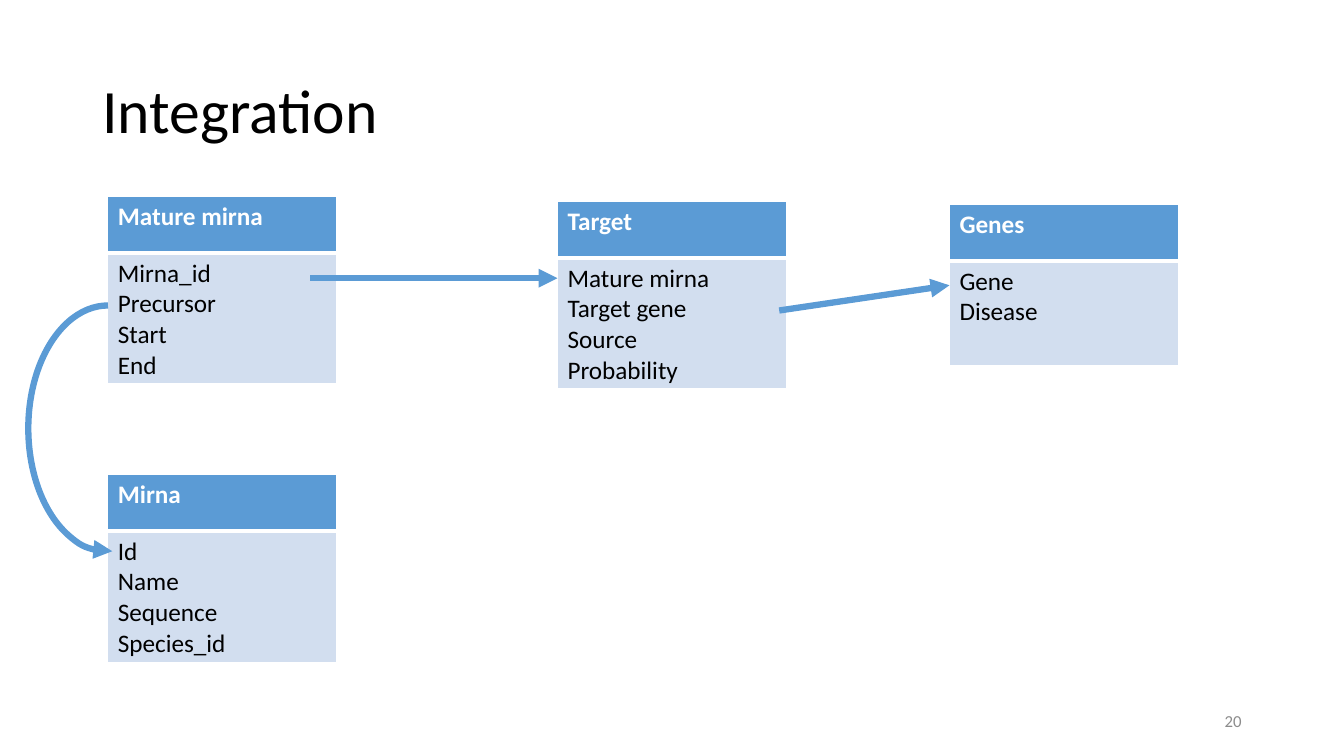
from dataclasses import dataclass

from lxml.etree import SubElement
from pptx import Presentation
from pptx.dml.color import RGBColor as RGB
from pptx.enum.shapes import MSO_CONNECTOR as Connector, MSO_SHAPE as Preset
from pptx.enum.text import MSO_ANCHOR as Anchor, PP_ALIGN as Align
from pptx.oxml.ns import qn
from pptx.slide import Slide
from pptx.table import _Cell as Cell
from pptx.text.text import _Paragraph as Paragraph
from pptx.util import Pt


@dataclass(frozen=True)
class Theme:
    font: str = "Calibri"
    accent: RGB = RGB(0x5B, 0x9B, 0xD5)
    body_fill: RGB = RGB(0xD2, 0xDE, 0xEF)
    ink: RGB = RGB(0, 0, 0)
    white: RGB = RGB(255, 255, 255)
    muted: RGB = RGB(0x8C, 0x8C, 0x8C)
    title_size: float = 44
    table_size: float = 18
    number_size: float = 12
    arrow_width: float = 4.5
    border: float = 1
    header_rule: float = 3


@dataclass(frozen=True)
class Entity:
    name: str
    fields: tuple[str, ...]
    left: float
    top: float


@dataclass(frozen=True)
class Link:
    start: tuple[float, float]
    end: tuple[float, float]


THEME = Theme()
ENTITY_WIDTH = 163.4
HEADER_HEIGHT = 40.3
MIN_BODY_HEIGHT = 75
LINE_HEIGHT = 21.6
CELL_PADDING = 7.2

ENTITIES = (
    Entity("Target", ("Mature mirna", "Target gene", "Source", "Probability"), 398.2, 144),
    Entity("Genes", ("Gene", "Disease"), 678.2, 146.2),
    Entity("Mature mirna", ("Mirna_id", "Precursor", "Start", "End"), 77, 140.4),
    Entity("Mirna", ("Id", "Name", "Sequence", "Species_id"), 77, 339.1),
)
LINKS = (
    Link((221.8, 198.7), (398.2, 198.7)),
    Link((556.6, 221.8), (678.2, 203.8)),
)


def add_run(paragraph: Paragraph, text: str, size: float, color: RGB, bold: bool = False) -> None:
    run = paragraph.add_run()
    run.text = text
    run.font.name = THEME.font
    run.font.size = Pt(size)
    run.font.bold = bold
    run.font.color.rgb = color


def add_label(slide: Slide, text: str, box: tuple[float, float, float, float],
              size: float, color: RGB, align: Align, spacing: float = 1) -> None:
    frame = slide.shapes.add_textbox(*map(Pt, box)).text_frame
    frame.word_wrap = True
    frame.vertical_anchor = Anchor.MIDDLE
    paragraph = frame.paragraphs[0]
    paragraph.alignment = align
    paragraph.line_spacing = spacing
    add_run(paragraph, text, size, color)


def set_borders(cell: Cell, top: float, bottom: float) -> None:
    """Draw white cell edges; the sides take the thin border width."""
    properties = cell._tc.get_or_add_tcPr()
    edges = {"L": THEME.border, "R": THEME.border, "T": top, "B": bottom}
    for side, width in edges.items():
        edge = SubElement(properties, qn(f"a:ln{side}"), w=str(Pt(width)))
        fill = SubElement(edge, qn("a:solidFill"))
        SubElement(fill, qn("a:srgbClr"), val=str(THEME.white))


def fill_cell(cell: Cell, lines: tuple[str, ...], fill: RGB, color: RGB, bold: bool) -> None:
    cell.fill.solid()
    cell.fill.fore_color.rgb = fill
    frame = cell.text_frame
    for index, line in enumerate(lines):
        paragraph = frame.add_paragraph() if index else frame.paragraphs[0]
        add_run(paragraph, line, THEME.table_size, color, bold)


def add_entity(slide: Slide, entity: Entity) -> None:
    body_height = max(MIN_BODY_HEIGHT, len(entity.fields) * LINE_HEIGHT + CELL_PADDING)
    table = slide.shapes.add_table(
        2, 1, Pt(entity.left), Pt(entity.top), Pt(ENTITY_WIDTH), Pt(HEADER_HEIGHT + body_height)
    ).table
    table.horz_banding = False
    table.rows[0].height = Pt(HEADER_HEIGHT)
    table.rows[1].height = Pt(body_height)
    header, body = table.cell(0, 0), table.cell(1, 0)
    set_borders(header, THEME.border, THEME.header_rule)
    set_borders(body, THEME.header_rule, THEME.border)
    fill_cell(header, (entity.name,), THEME.accent, THEME.white, True)
    fill_cell(body, entity.fields, THEME.body_fill, THEME.ink, False)


def style_arrow(arrow) -> None:
    arrow.line.color.rgb = THEME.accent
    arrow.line.width = Pt(THEME.arrow_width)
    SubElement(arrow.line._get_or_add_ln(), qn("a:tailEnd"), type="triangle")


def add_link(slide: Slide, link: Link) -> None:
    arrow = slide.shapes.add_connector(
        Connector.STRAIGHT, *map(Pt, link.start), *map(Pt, link.end)
    )
    style_arrow(arrow)
    SubElement(arrow._element.spPr, qn("a:effectLst"))


def add_precursor_arc(slide: Slide) -> None:
    """Curve from the Precursor field round the left side to the Mirna Id."""
    arc = slide.shapes.add_shape(Preset.ARC, Pt(20.2), Pt(218.2), Pt(113.8), Pt(175.7))
    arc.adjustments[0] = 162
    arc.adjustments[1] = 55.21
    arc._element.spPr.get_or_add_xfrm().set("flipH", "1")
    arc.fill.background()
    style_arrow(arc)
    arc.shadow.inherit = False


def main() -> None:
    deck = Presentation()
    deck.slide_width, deck.slide_height = Pt(960), Pt(540)
    slide = deck.slides.add_slide(deck.slide_layouts[6])
    add_label(slide, "Integration", (66, 28.8, 828, 104.4),
              THEME.title_size, THEME.ink, Align.LEFT, 0.9)
    add_label(slide, "20", (678, 500.5, 216, 28.8),
              THEME.number_size, THEME.muted, Align.RIGHT)
    for entity in ENTITIES:
        add_entity(slide, entity)
    for link in LINKS:
        add_link(slide, link)
    add_precursor_arc(slide)
    deck.save("out.pptx")


if __name__ == "__main__":
    main()
